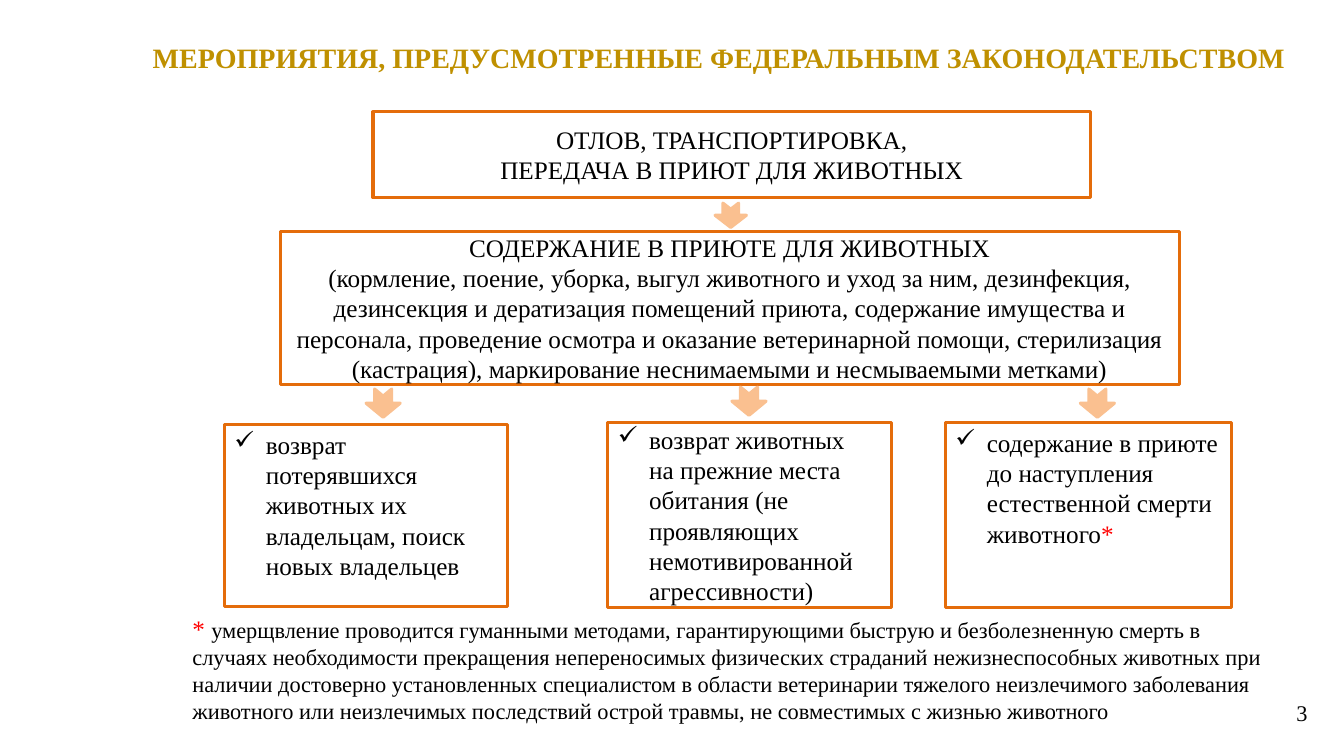
import pptx
import pptx.dml.color
import pptx.enum.shapes
import pptx.enum.text
import pptx.oxml.xmlchemy
import pptx.util
from pptx.util import Cm

RGBColor = pptx.dml.color.RGBColor
ALIGN = pptx.enum.text.PP_ALIGN
ANCHOR = pptx.enum.text.MSO_ANCHOR
SHAPE = pptx.enum.shapes.MSO_SHAPE

GOLD = RGBColor(0xBF, 0x90, 0x00)
ORANGE = RGBColor(0xE4, 0x6C, 0x0A)
PEACH = RGBColor(0xFA, 0xC0, 0x90)
BLACK = RGBColor(0x00, 0x00, 0x00)
RED = RGBColor(0xFF, 0x00, 0x00)
FONT = "Times New Roman"
INDENT = Cm(0.79)

OUTCOMES = [
    ((5.66, 10.69, 7.14, 4.6), ANCHOR.TOP,
     [[("возврат потерявшихся животных их владельцам, поиск новых владельцев", BLACK, 18)]]),
    ((15.32, 10.64, 7.14, 4.67), ANCHOR.MIDDLE,
     [[("возврат животных", BLACK, 18)],
      [("на прежние места обитания (не проявляющих немотивированной агрессивности)", BLACK, 18)]]),
    ((23.83, 10.64, 7.21, 4.67), ANCHOR.TOP,
     [[("содержание в приюте до наступления естественной смерти животного", BLACK, 18),
       ("*", RED, 18)]]),
]
ARROWS = [
    (18.11, 5.03, 0.61, 0.79),
    (9.3, 9.73, 0.71, 0.86),
    (18.52, 9.68, 0.71, 0.86),
    (27.3, 9.73, 0.71, 0.86),
]


def lengths(box):
    return [Cm(v) for v in box]


def format_font(font, color, size, bold=False):
    font.name = FONT
    font.size = pptx.util.Pt(size)
    font.color.rgb = color
    font.bold = bold


def set_indent(p, bulleted):
    pPr = p._p.get_or_add_pPr()
    pPr.set("marL", str(INDENT))
    pPr.set("indent", str(-INDENT if bulleted else 0))
    if bulleted:
        bullet = pptx.oxml.xmlchemy.OxmlElement("a:buChar")
        bullet.set("char", "✓")
        pPr.append(bullet)


def write(sp, paragraphs, align, anchor, checked=False):
    tf = sp.text_frame
    tf.word_wrap = True
    tf.vertical_anchor = anchor
    for i, runs in enumerate(paragraphs):
        p = tf.add_paragraph() if i else tf.paragraphs[0]
        p.alignment = align
        if checked:
            set_indent(p, i == 0)
        for text, color, size in runs:
            r = p.add_run()
            r.text = text
            format_font(r.font, color, size)


def add_title(s, text, box):
    sp = s.shapes.title
    sp.left, sp.top, sp.width, sp.height = lengths(box)
    tf = sp.text_frame
    tf.text = text
    tf.auto_size = pptx.enum.text.MSO_AUTO_SIZE.NONE
    tf.vertical_anchor = ANCHOR.TOP
    p = tf.paragraphs[0]
    p.alignment = ALIGN.CENTER
    format_font(p.runs[0].font, GOLD, 20, True)


def add_outlined(s, kind, box, color):
    sp = s.shapes.add_shape(kind, *lengths(box))
    sp.shadow.inherit = False
    sp.fill.background()
    sp.line.color.rgb = color
    sp.line.width = pptx.util.Pt(2.25)
    return sp


def add_box(s, box, paragraphs, align=ALIGN.CENTER, anchor=ANCHOR.MIDDLE, checked=False):
    sp = add_outlined(s, SHAPE.RECTANGLE, box, ORANGE)
    write(sp, paragraphs, align, anchor, checked)


def add_arrow(s, box):
    sp = add_outlined(s, SHAPE.NOTCHED_RIGHT_ARROW, box, PEACH)
    sp.fill.solid()
    sp.fill.fore_color.rgb = PEACH
    sp.rotation = 90


def add_text(s, box, runs, align=ALIGN.LEFT, anchor=ANCHOR.TOP):
    write(s.shapes.add_textbox(*lengths(box)), [runs], align, anchor)


def main():
    prs = pptx.Presentation()
    prs.slide_width, prs.slide_height = Cm(33.87), Cm(19.05)
    s = prs.slides.add_slide(prs.slide_layouts[5])
    add_title(s, "МЕРОПРИЯТИЯ, ПРЕДУСМОТРЕННЫЕ ФЕДЕРАЛЬНЫМ ЗАКОНОДАТЕЛЬСТВОМ",
              (2.67, 0.89, 30.89, 1.12))
    add_box(s, (9.4, 2.82, 18.08, 2.16), [
        [("ОТЛОВ, ТРАНСПОРТИРОВКА,", BLACK, 18)],
        [("ПЕРЕДАЧА В ПРИЮТ ДЛЯ ЖИВОТНЫХ", BLACK, 18)],
    ])
    add_box(s, (7.06, 5.84, 22.66, 3.84), [
        [("СОДЕРЖАНИЕ В ПРИЮТЕ ДЛЯ ЖИВОТНЫХ", BLACK, 18)],
        [("(кормление, поение, уборка, выгул животного и уход за ним, дезинфекция, "
          "дезинсекция и дератизация помещений приюта, содержание имущества и персонала, "
          "проведение осмотра и оказание ветеринарной помощи, стерилизация (кастрация), "
          "маркирование неснимаемыми и несмываемыми метками)", BLACK, 18)],
    ])
    for box, anchor, paragraphs in OUTCOMES:
        add_box(s, box, paragraphs, ALIGN.LEFT, anchor, checked=True)
    for box in ARROWS:
        add_arrow(s, box)
    add_text(s, (4.6, 15.32, 27.66, 3.07), [
        ("* ", RED, 18),
        ("умерщвление проводится гуманными методами, гарантирующими быструю и "
         "безболезненную смерть в случаях необходимости прекращения непереносимых "
         "физических страданий нежизнеспособных животных при наличии достоверно "
         "установленных специалистом в области ветеринарии тяжелого неизлечимого "
         "заболевания животного или неизлечимых последствий острой травмы, "
         "не совместимых с жизнью животного", BLACK, 16),
    ])
    add_text(s, (25.3, 17.3, 7.9, 1.32), [("3", BLACK, 16)], ALIGN.RIGHT, ANCHOR.MIDDLE)
    prs.save("out.pptx")


if __name__ == "__main__":
    main()
